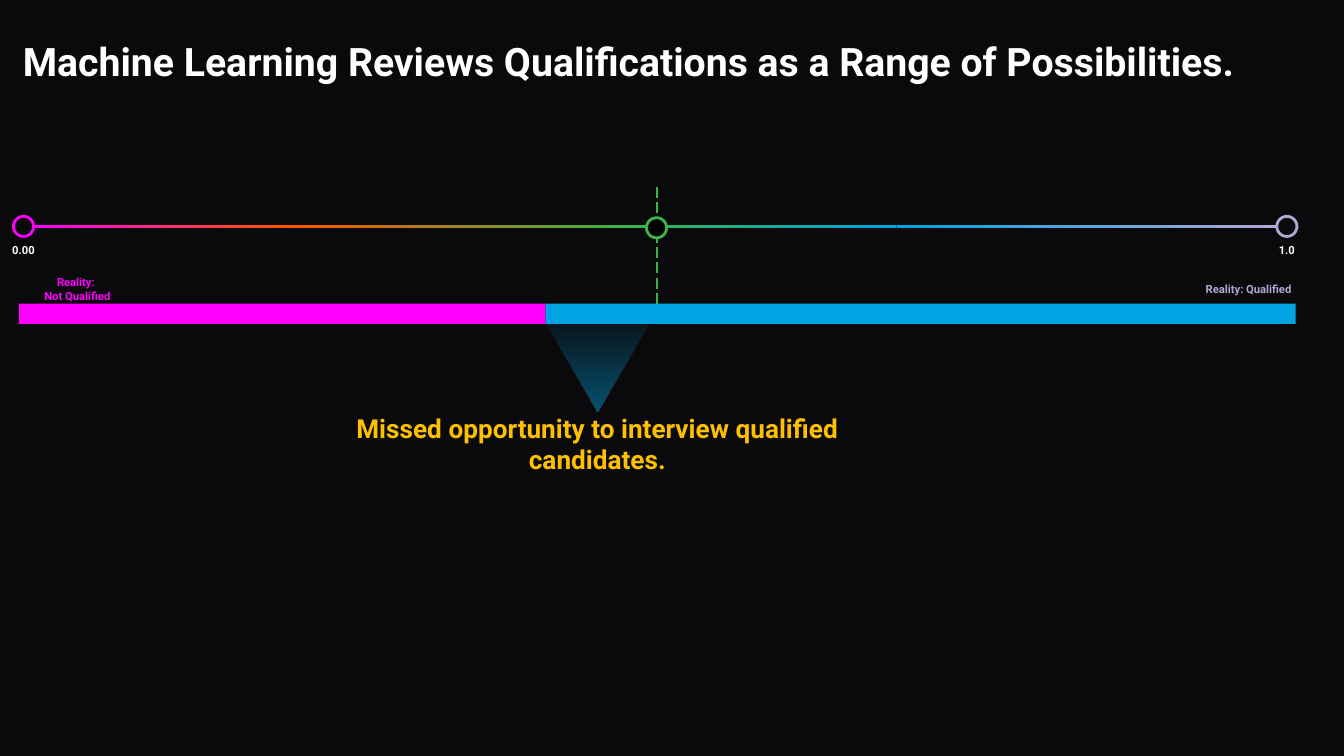
from itertools import pairwise

from lxml.etree import SubElement
from pptx import Presentation
from pptx.dml.color import RGBColor
from pptx.enum.dml import MSO_LINE
from pptx.enum.shapes import MSO_CONNECTOR, MSO_SHAPE
from pptx.enum.text import MSO_ANCHOR, MSO_AUTO_SIZE, PP_ALIGN
from pptx.oxml.ns import qn
from pptx.util import Inches, Pt

COLORS = {
    "background": "0A0A0C", "white": "FFFFFF", "black": "000000",
    "magenta": "FF00FF", "orange": "FF5600", "green": "39B54A",
    "blue": "00A4E4", "lavender": "B4A7D6", "amber": "FFC000",
}


def rgb(name):
    """Return the palette colour called name."""
    return RGBColor.from_string(COLORS[name])


def write(sp, text, size=6, color="white", align=PP_ALIGN.CENTER,
          anchor=MSO_ANCHOR.MIDDLE, inset=(0, 0), spacing=None):
    """Fill a shape with bold text, one paragraph per line."""
    tf = sp.text_frame
    tf.word_wrap = True
    tf.auto_size = MSO_AUTO_SIZE.NONE
    tf.vertical_anchor = anchor
    tf.margin_left = tf.margin_right = Inches(inset[0])
    tf.margin_top = tf.margin_bottom = Inches(inset[1])
    for i, line in enumerate(text.split("\n")):
        p = tf.add_paragraph() if i else tf.paragraphs[0]
        p.alignment = align
        if spacing:
            p.line_spacing = spacing
        r = p.add_run()
        r.text = line
        r.font.name, r.font.size, r.font.bold = "Roboto", Pt(size), True
        r.font.color.rgb = rgb(color)


def add_label(s, x, y, w, h, text, **fmt):
    """Add a text box with formatted text."""
    write(s.shapes.add_textbox(Inches(x), Inches(y), Inches(w), Inches(h)),
          text, **fmt)


def add_shape(s, kind, x, y, w, h, fill, line=None):
    """Add a shape; a pair of fill colours makes a gradient."""
    sp = s.shapes.add_shape(kind, Inches(x), Inches(y), Inches(w), Inches(h))
    sp.shadow.inherit = False
    if isinstance(fill, str):
        sp.fill.solid()
        sp.fill.fore_color.rgb = rgb(fill)
    else:
        sp.fill.gradient()
        sp.fill.gradient_angle = 0
        for stop, name in zip(sp.fill.gradient_stops, fill):
            stop.color.rgb = rgb(name)
    if line:
        sp.line.color.rgb = rgb(line)
        sp.line.width = Pt(1.5)
    else:
        sp.line.fill.background()
    return sp


def add_title(s, x, y, w, h):
    """Place the slide title in its placeholder."""
    sp = s.shapes.title
    sp.left, sp.top, sp.width, sp.height = map(Inches, (x, y, w, h))
    write(sp, "Machine Learning Reviews Qualifications as a Range of "
          "Possibilities.", size=21, align=PP_ALIGN.LEFT,
          inset=(0.07, 0.04), spacing=0.9)


def add_threshold(s, x, y, h):
    """Draw the dashed vertical decision threshold."""
    c = s.shapes.add_connector(MSO_CONNECTOR.STRAIGHT, Inches(x), Inches(y),
                               Inches(x), Inches(y + h))
    c.line.color.rgb = rgb("green")
    c.line.width = Pt(0.75)
    c.line.dash_style = MSO_LINE.LONG_DASH
    SubElement(c._element.spPr, qn("a:effectLst"))


def add_callout(s, x, y, w, h):
    """Draw the fading pointer and the message below it."""
    sp = add_shape(s, MSO_SHAPE.ISOSCELES_TRIANGLE, x, y, w, h,
                   ("blue", "blue"))
    sp.rotation = 180
    sp.fill.gradient_angle = 90
    colors = sp._element.spPr.iter(qn("a:srgbClr"))
    for color, alpha in zip(list(colors), (0, 47)):
        SubElement(color, qn("a:alpha"), val=str(alpha * 1000))
    text_w = 4.44
    add_label(s, x + (w - text_w) / 2, y + h + 0.09, text_w, 0.3,
              "Missed opportunity to interview qualified candidates.",
              size=14, color="amber", inset=(0.1, 0.1))


def add_scale(s, x, y, w, d):
    """Draw the 0 to 1 gradient scale with its three markers of size d."""
    ends = ((x, "magenta", "0.00"), (x + w - d, "lavender", "1.0"))
    for left, color, text in ends:
        add_shape(s, MSO_SHAPE.OVAL, left, y, d, d, "background", color)
        add_label(s, left + d / 2 - 0.3, y + d, 0.6, 0.43, text,
                  anchor=MSO_ANCHOR.TOP, inset=(0.05, 0.05))
    stops = ((d, "magenta"), (2.03, "orange"), (4.57, "green"),
             (6.57, "blue"), (w - d, "lavender"))
    for (a, start), (b, end) in pairwise(stops):
        add_shape(s, MSO_SHAPE.RECTANGLE, x + a, y + d / 2 - 0.01, b - a, 0.02,
                  (start, end))
    add_shape(s, MSO_SHAPE.OVAL, x + 4.71, y + 0.01, d, d, "black", "green")


def add_reality_bar(s, x, y, w, h, split):
    """Draw the two-part outcome bar and the labels above it."""
    parts = ((x, split, "magenta"), (x + split, w - split, "blue"))
    for left, width, color in parts:
        add_shape(s, MSO_SHAPE.RECTANGLE, left, y, width, h, color)
    add_label(s, x + 0.06, y - 0.15, 0.75, 0.08, "Reality: \nNot Qualified",
              color="magenta")
    add_label(s, x + w - 0.68, y - 0.15, 0.66, 0.08, "Reality: Qualified",
              color="lavender")


def main():
    """Build and save the slide."""
    prs = Presentation()
    prs.slide_width = Inches(10)
    prs.slide_height = prs.slide_width * 9 // 16
    s = prs.slides.add_slide(prs.slide_layouts[5])
    s.background.fill.solid()
    s.background.fill.fore_color.rgb = rgb("background")
    add_threshold(s, 4.89, 1.39, 0.97)
    add_callout(s, 3.99, 2.28, 0.91, 0.78)
    add_scale(s, 0.1, 1.61, 9.55, 0.15)
    add_title(s, 0.1, 0.15, 9.39, 0.65)
    add_reality_bar(s, 0.14, 2.26, 9.5, 0.15, 3.92)
    prs.save("out.pptx")


if __name__ == "__main__":
    main()
